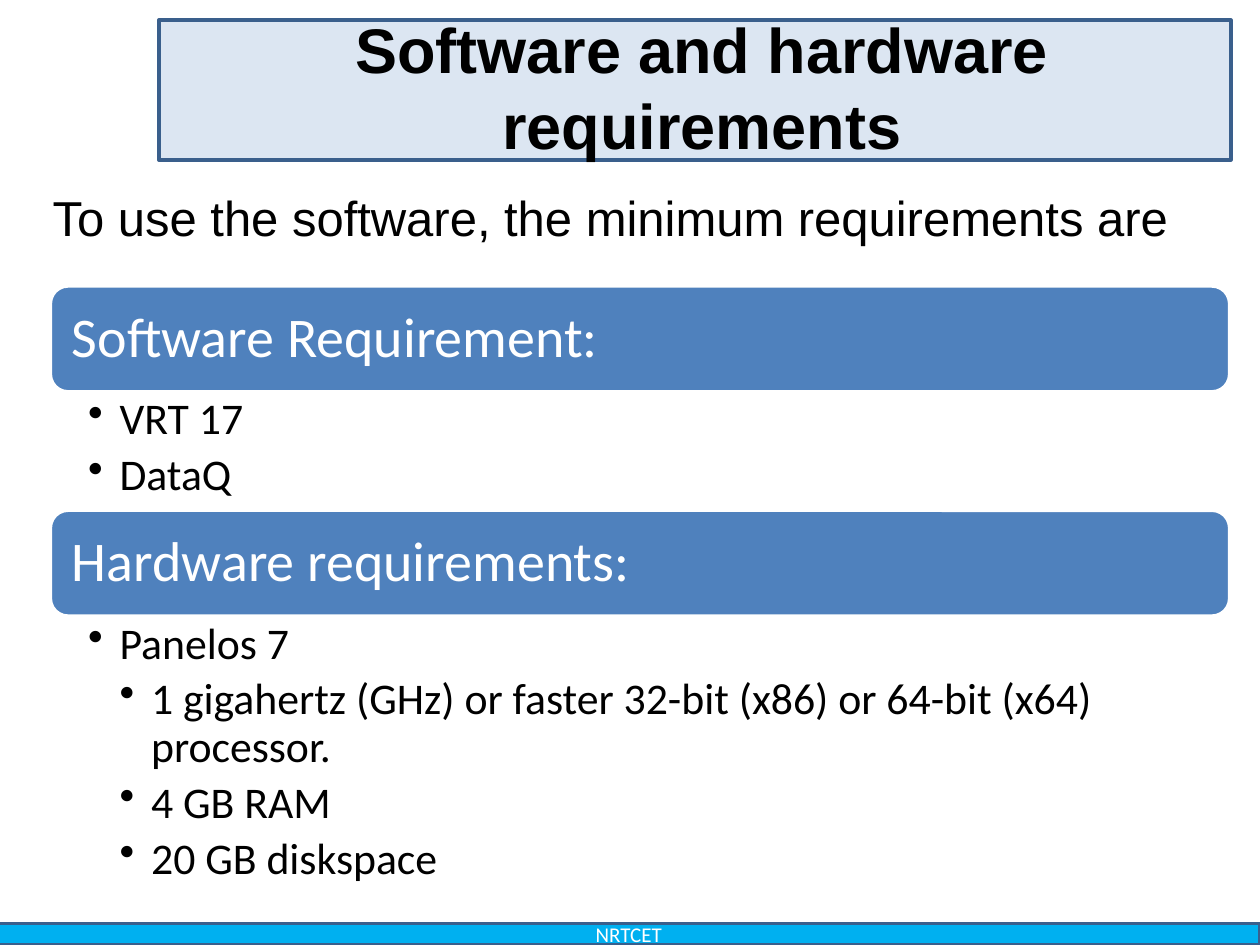
from lxml import etree
from pptx import Presentation
from pptx import util as u
from pptx.dml.color import RGBColor
from pptx.enum import shapes, text
from pptx.oxml.ns import qn

BLACK = RGBColor(0x00, 0x00, 0x00)
WHITE = RGBColor(0xFF, 0xFF, 0xFF)
PALE_BLUE = RGBColor(0xDC, 0xE6, 0xF2)
NAVY = RGBColor(0x3A, 0x5F, 0x8C)
CYAN = RGBColor(0x00, 0xB0, 0xF0)
BLUE = RGBColor(0x4F, 0x81, 0xBD)

LEFT, WIDTH = 0.4, 9.36
HEADING_HEIGHT = 0.84
HEADING_INSET = 0.04
INDENT = 0.25

SECTIONS = [
    ("Software Requirement:", 0.94, [(1, "VRT 17"), (1, "DataQ")]),
    ("Hardware requirements:", 2.28, [
        (1, "Panelos 7"),
        (2, "1 gigahertz (GHz) or faster 32-bit (x86) or 64-bit (x64) processor."),
        (2, "4 GB RAM"),
        (2, "20 GB diskspace"),
    ]),
]


class SlideBuilder:
    heading_font = "Arial"
    body_font = "Calibri"
    line_width = u.Pt(2)

    def __init__(self, page):
        self.page = page

    def panel(self, kind, place, fill, line):
        box = self.page.shapes.add_shape(kind, *map(u.Inches, place))
        box.shadow.inherit = False
        box.fill.solid()
        box.fill.fore_color.rgb = fill
        box.line.color.rgb = line
        box.line.width = self.line_width
        return box

    def style(self, para, size, font, color, bold=False):
        para.font.size = u.Pt(size)
        para.font.name = font
        para.font.color.rgb = color
        para.font.bold = bold

    def frame(self, place, insets=(0.1, 0.05, 0.1, 0.05),
              anchor=text.MSO_ANCHOR.MIDDLE):
        box = self.page.shapes.add_textbox(*map(u.Inches, place))
        frame = box.text_frame
        frame.word_wrap = True
        frame.vertical_anchor = anchor
        (frame.margin_left, frame.margin_top,
         frame.margin_right, frame.margin_bottom) = map(u.Inches, insets)
        return frame

    def title(self, words, place):
        para = self.frame(place).paragraphs[0]
        para.text = words
        para.alignment = text.PP_ALIGN.CENTER
        self.style(para, 36, self.heading_font, BLACK, bold=True)

    def intro(self, words, place):
        frame = self.frame(place)
        frame.auto_size = text.MSO_AUTO_SIZE.SHAPE_TO_FIT_TEXT
        para = frame.paragraphs[0]
        para.text = words
        self.style(para, 28, self.heading_font, BLACK)

    def footer(self, words, place):
        bar = self.panel(shapes.MSO_SHAPE.RECTANGLE, place, CYAN, NAVY)
        bar.text_frame.vertical_anchor = text.MSO_ANCHOR.MIDDLE
        para = bar.text_frame.paragraphs[0]
        para.text = words
        para.alignment = text.PP_ALIGN.CENTER
        self.style(para, 12, self.body_font, WHITE)

    def heading(self, words, top):
        self.panel(shapes.MSO_SHAPE.ROUNDED_RECTANGLE,
                   (LEFT, top, WIDTH, HEADING_HEIGHT), BLUE, WHITE)
        place = (LEFT + HEADING_INSET, top + HEADING_INSET,
                 WIDTH - 2 * HEADING_INSET, HEADING_HEIGHT - 2 * HEADING_INSET)
        para = self.frame(place, insets=(0.13,) * 4).paragraphs[0]
        para.text = words
        para.line_spacing = 0.9
        self.style(para, 32, self.body_font, WHITE)

    def bullets(self, items, top, height):
        frame = self.frame((LEFT, top, WIDTH, height), (0.3, 0.04, 0.25, 0.04),
                           text.MSO_ANCHOR.TOP)
        for index, (level, words) in enumerate(items):
            para = frame.add_paragraph() if index else frame.paragraphs[0]
            para.text = words
            para.level = level
            para.line_spacing = 0.9
            para.space_after = u.Pt(5)
            self.style(para, 25, self.body_font, BLACK)
            # Hanging bullet
            props = para._p.get_or_add_pPr()
            props.set("marL", str(u.Inches(INDENT * level)))
            props.set("indent", str(-u.Inches(INDENT)))
            bullet = etree.Element(qn("a:buChar"), char="•")
            props.find(qn("a:defRPr")).addprevious(bullet)


def main():
    deck = Presentation()
    deck.slide_width, deck.slide_height = u.Inches(10), u.Inches(7.5)
    builder = SlideBuilder(deck.slides.add_slide(deck.slide_layouts[6]))

    # Title band and footer bar
    builder.panel(shapes.MSO_SHAPE.RECTANGLE, (1.26, 0.16, 8.51, 1.11),
                  PALE_BLUE, NAVY)
    builder.footer("NRTCET", (-0.02, 7.33, 10.02, 0.17))
    builder.title("Software and hardware requirements", (1.38, 0.16, 8.38, 1.05))

    # Requirement sections, stacked without gaps
    top = 2.27
    for heading, height, items in SECTIONS:
        builder.heading(heading, top)
        top += HEADING_HEIGHT
        builder.bullets(items, top, height)
        top += height

    # Introductory line
    builder.intro("To use the software, the minimum requirements are",
                  (0.32, 1.44, 9.36, 0.57))

    deck.save("out.pptx")


if __name__ == "__main__":
    main()
